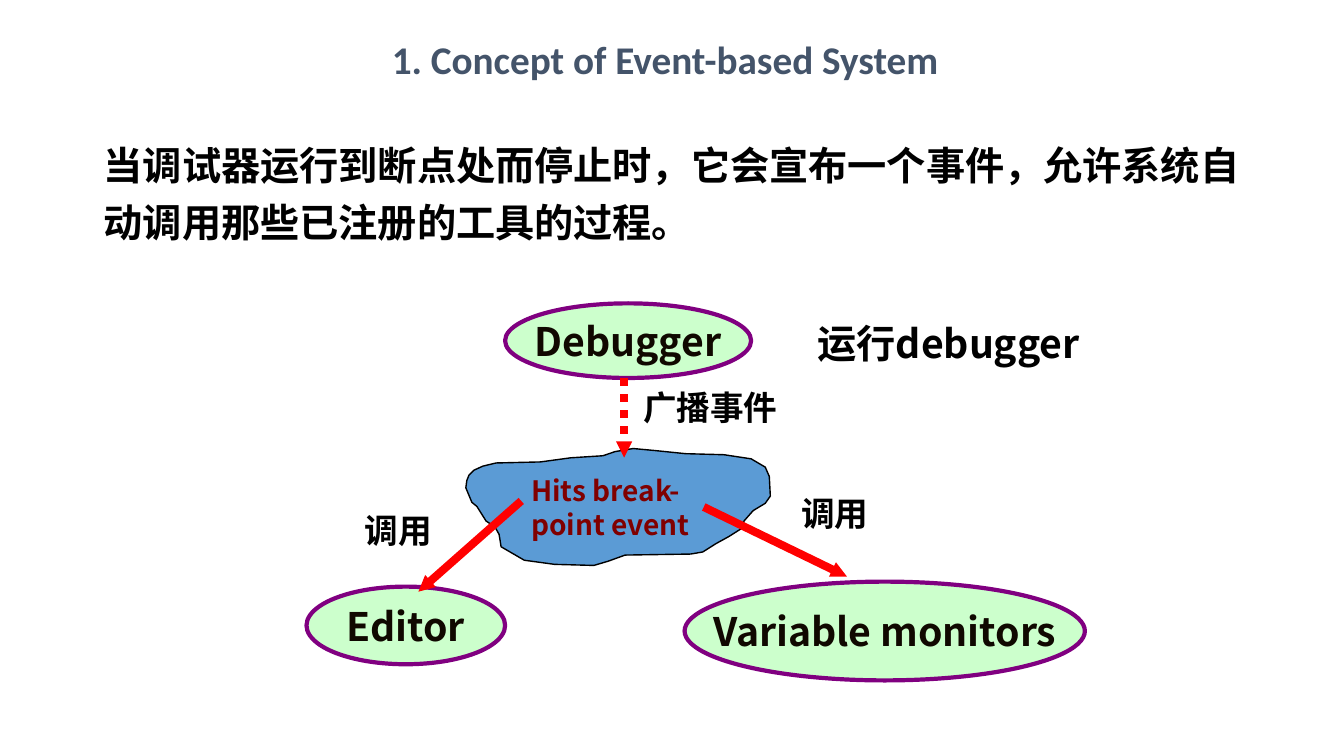
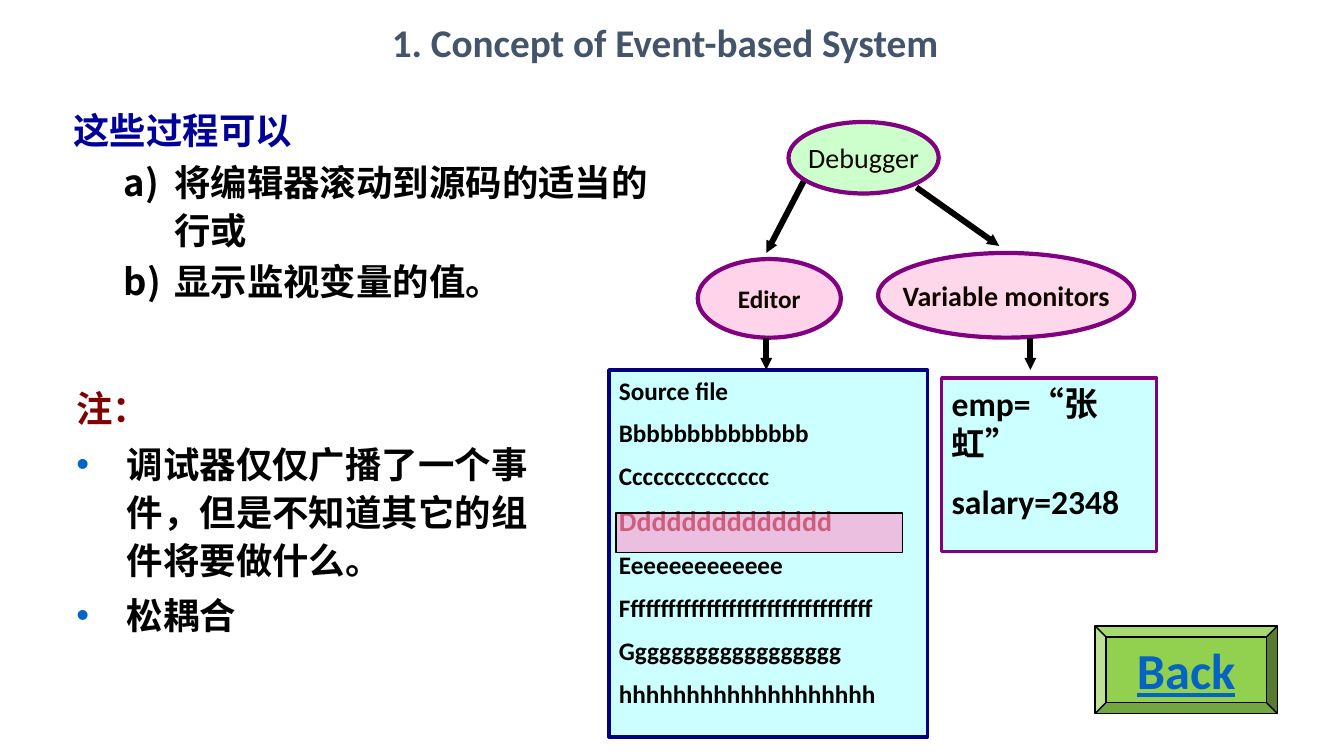
"""Build two slides on the concept of event-based systems."""
from dataclasses import dataclass
from lxml.etree import SubElement
from pptx import Presentation
from pptx.dml.color import RGBColor
from pptx.enum.dml import MSO_LINE_DASH_STYLE as Dash
from pptx.enum.shapes import MSO_CONNECTOR as Connector, MSO_SHAPE as Preset
from pptx.enum.text import MSO_ANCHOR as Anchor, PP_ALIGN as Align
from pptx.oxml.ns import qn
from pptx.util import Inches, Pt


@dataclass(frozen=True)
class Theme:
    chinese: str = "Noto Sans CJK SC"
    latin: str = "Calibri"
    title: str = "44546A"
    black: str = "000000"
    label: str = "100800"
    red: str = "FF0000"
    maroon: str = "800000"
    purple: str = "800080"
    navy: str = "000080"
    heading: str = "000099"
    link: str = "0563C1"
    mint: str = "CCFFCC"
    cyan: str = "CCFFFF"
    pink: str = "FF99CC"
    cloud: str = "5B9BD5"
    button: str = "92D050"
    title_size: int = 28
    body_size: int = 26
    large_size: int = 24
    medium_size: int = 20
    small_size: int = 18
    button_size: int = 36


theme = Theme()


def add_box(slide, bounds, lines=(), size=theme.small_size, color=theme.black, font=theme.chinese,
            bold=True, before=0, spacing=None, preset=None, fill=None, opacity=100,
            outline=theme.purple, width=3, centered=False):
    position = [Inches(value) for value in bounds]
    if preset is None:
        shape = slide.shapes.add_textbox(*position)
    else:
        shape = slide.shapes.add_shape(preset, *position)
        shape.shadow.inherit = False
        shape.fill.solid()
        shape.fill.fore_color.rgb = RGBColor.from_string(fill)
        if opacity < 100:
            tint = shape.fill._xPr.find(qn("a:solidFill"))[0]
            SubElement(tint, qn("a:alpha"), val=str(opacity * 1000))
        shape.line.color.rgb = RGBColor.from_string(outline)
        shape.line.width = Pt(width)
    frame = shape.text_frame
    frame.word_wrap = not (centered and preset)
    frame.vertical_anchor = Anchor.MIDDLE if centered and preset else Anchor.TOP
    frame.text = "\n".join(lines)
    for index, paragraph in enumerate(frame.paragraphs):
        paragraph.alignment = Align.CENTER if centered else Align.LEFT
        paragraph.line_spacing = spacing
        if index:
            paragraph.space_before = Pt(before)
        for run in paragraph.runs:
            run.font.name = font
            run.font.size = Pt(size)
            run.font.bold = bold
            run.font.color.rgb = RGBColor.from_string(color)
            SubElement(run._r.rPr, qn("a:ea"), typeface=theme.chinese)
    return shape


def add_arrow(slide, start, end, color, width):
    arrow = slide.shapes.add_connector(Connector.STRAIGHT, *[Inches(value) for value in start + end])
    arrow.line.color.rgb = RGBColor.from_string(color)
    arrow.line.width = Pt(width)
    SubElement(arrow.line._ln, qn("a:tailEnd"), type="triangle", w="sm", len="sm")
    SubElement(arrow._element.spPr, qn("a:effectLst"))
    return arrow


presentation = Presentation()
presentation.slide_width = Inches(13.33)
presentation.slide_height = Inches(7.5)
slides = []
for title_top in (0.3, 0.13):
    slide = presentation.slides.add_slide(presentation.slide_layouts[6])
    add_box(slide, (2.02, title_top, 9.15, 0.61), ["1. Concept of Event-based System"],
            theme.title_size, theme.title, theme.latin, centered=True)
    slides.append(slide)
event_slide, result_slide = slides

introduction = add_box(event_slide, (1.03, 1.31, 11.45, 1.13),
                       ["当调试器运行到断点处而停止时，它会宣布一个事件，允许系统自动调用那些已注册的工具的过程。"],
                       theme.title_size, spacing=1.2)
frame = introduction.text_frame
frame.margin_left = frame.margin_top = frame.margin_right = frame.margin_bottom = 0

for name, bounds in (
    ("Debugger", (5.01, 3.01, 2.44, 0.74)),
    ("Editor", (3.04, 5.82, 1.97, 0.77)),
    ("Variable monitors", (6.79, 5.77, 3.97, 0.98)),
):
    add_box(event_slide, bounds, [name], theme.title_size, theme.label,
            preset=Preset.OVAL, fill=theme.mint, centered=True)

cloud_points = (
    (4.65, 4.74), (4.7, 4.69), (4.79, 4.65), (4.92, 4.62), (5.36, 4.61), (5.66, 4.57),
    (5.98, 4.55), (6.1, 4.51), (6.22, 4.49), (6.28, 4.48), (6.5, 4.5), (6.8, 4.53),
    (7.18, 4.54), (7.45, 4.58), (7.59, 4.66), (7.63, 4.75), (7.64, 4.94), (7.59, 5.01),
    (7.47, 5.08), (7.38, 5.18), (7.36, 5.25), (7.23, 5.33), (7.1, 5.4), (6.97, 5.48),
    (6.85, 5.5), (6.2, 5.51), (6.03, 5.57), (5.89, 5.61), (5.5, 5.6), (5.2, 5.56),
    (4.97, 5.43), (4.95, 5.31), (4.91, 5.24), (4.82, 5.18), (4.73, 5.04), (4.68, 5),
    (4.62, 4.86), (4.63, 4.79),
)
cloud_points = [(x, 4.45 + (y - 4.48) * 1.16 / 1.13) for x, y in cloud_points]
outline_points = [(Inches(x), Inches(y)) for x, y in cloud_points]
builder = event_slide.shapes.build_freeform(*outline_points[0])
builder.add_line_segments(outline_points[1:], close=True)
cloud = builder.convert_to_shape()
cloud.shadow.inherit = False
cloud.fill.solid()
cloud.fill.fore_color.rgb = RGBColor.from_string(theme.cloud)
cloud.line.color.rgb = RGBColor.from_string(theme.black)
cloud.line.width = Pt(1)
add_box(event_slide, (5.17, 4.65, 1.89, 0.77), ["Hits break-point event"],
        theme.medium_size, theme.maroon)

broadcast = add_arrow(event_slide, (6.19, 3.75), (6.19, 4.54), theme.red, 5.75)
broadcast.line.dash_style = Dash.ROUND_DOT
for start, end in (((6.98, 5.03), (8.4, 5.72)), ((5.17, 4.97), (4.15, 5.87))):
    add_arrow(event_slide, start, end, theme.red, 5.75)
for text, bounds, size in (
    ("广播事件", (6.28, 3.79, 1.89, 0.5), theme.large_size),
    ("调用", (7.85, 4.84, 1.18, 0.51), theme.large_size),
    ("调用", (3.52, 5.01, 1.02, 0.55), theme.large_size),
    ("运行debugger", (8.01, 3.12, 3.15, 0.57), theme.title_size),
):
    add_box(event_slide, bounds, [text], size)

actions = add_box(result_slide, (0.63, 0.98, 5.93, 2.11),
                  ["这些过程可以", "将编辑器滚动到源码的适当的行或", "显示监视变量的值。"],
                  theme.body_size, before=2.6, spacing=1.1)
notes = add_box(result_slide, (0.66, 3.74, 4.98, 2.65),
                ["注：", "调试器仅仅广播了一个事件，但是不知道其它的组件将要做什么。", "松耦合"],
                theme.body_size, before=5.2, spacing=1.1)
for box, color, indent, numbered in (
    (actions, theme.heading, 1, True),
    (notes, theme.maroon, 0.5, False),
):
    heading, *items = box.text_frame.paragraphs
    heading.runs[0].font.color.rgb = RGBColor.from_string(color)
    for paragraph in items:
        properties = paragraph._p.get_or_add_pPr()
        properties.set("marL", str(Inches(indent)))
        properties.set("indent", str(Inches(-0.5)))
        if numbered:
            SubElement(properties, qn("a:buAutoNum"), type="alphaLcParenR")
        else:
            bullet_color = SubElement(properties, qn("a:buClr"))
            SubElement(bullet_color, qn("a:srgbClr"), val=theme.link)
            SubElement(properties, qn("a:buFont"), typeface="Arial")
            SubElement(properties, qn("a:buChar"), char="•")

for name, bounds, fill, opacity, size, bold in (
    ("Debugger", (7.82, 1.21, 1.49, 0.71), theme.mint, 100, theme.medium_size, False),
    ("Editor", (6.92, 2.57, 1.42, 0.78), theme.pink, 43, theme.small_size, True),
    ("Variable monitors", (8.71, 2.51, 2.54, 0.84), theme.pink, 39, theme.medium_size, True),
):
    add_box(result_slide, bounds, [name], size, theme.label, theme.latin, bold,
            preset=Preset.OVAL, fill=fill, opacity=opacity, centered=True)

source_lines = ["Source file", "Bbbbbbbbbbbbbb", "Cccccccccccccc", "Dddddddddddddd", "Eeeeeeeeeeeee",
                "Fffffffffffffffffffffffffffffffff", "Gggggggggggggggggg", "hhhhhhhhhhhhhhhhhhh"]
source_file = add_box(result_slide, (6.04, 3.67, 3.16, 3.64), source_lines, font=theme.latin, before=9,
                      preset=Preset.RECTANGLE, fill=theme.cyan, outline=theme.navy, width=2.5)
current_line = source_file.text_frame.paragraphs[3].runs[0]
current_line.font.size = Pt(theme.medium_size)
current_line.font.color.rgb = RGBColor.from_string(theme.maroon)
add_box(result_slide, (6.11, 5.09, 2.84, 0.39), preset=Preset.RECTANGLE, fill=theme.pink,
        opacity=62, outline=theme.black, width=1)
add_box(result_slide, (9.34, 3.75, 2.13, 1.72), ["emp=“张虹”", "salary=2348"], theme.large_size,
        font=theme.latin, before=12, preset=Preset.RECTANGLE, fill=theme.cyan, width=2.5)

for start, end in (
    ((9.09, 1.86), (9.91, 2.44)),
    ((7.97, 1.8), (7.6, 2.51)),
    ((7.6, 3.35), (7.6, 3.67)),
    ((10.22, 3.35), (10.22, 3.67)),
):
    add_arrow(result_slide, start, end, theme.black, 4.25)

back = add_box(result_slide, (10.86, 6.21, 1.81, 0.87), ["Back"], theme.button_size, theme.link,
               theme.latin, preset=Preset.BEVEL, fill=theme.button, outline=theme.black,
               width=1, centered=True)
back.text_frame.paragraphs[0].runs[0].font.underline = True

presentation.save("out.pptx")
